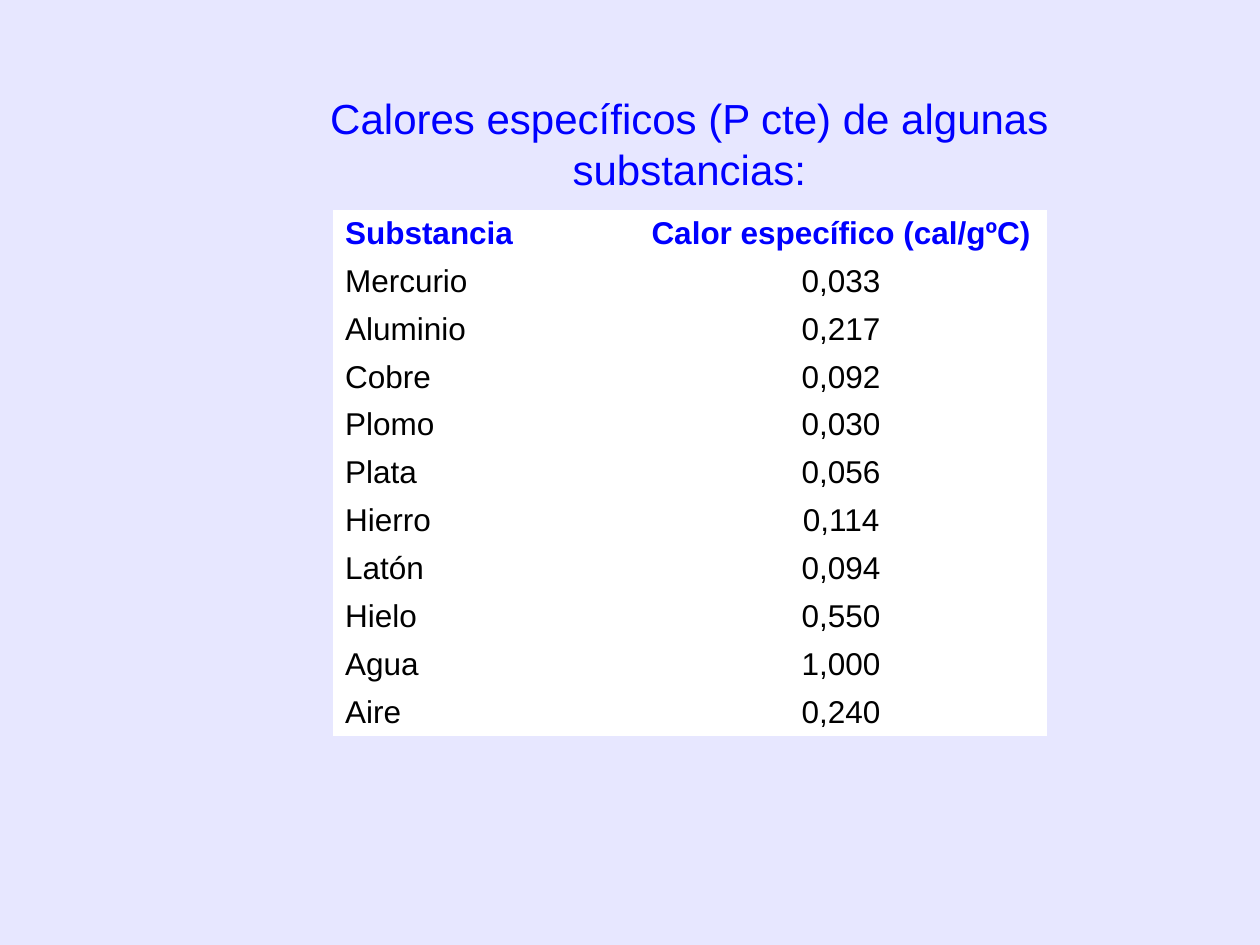
"""Build a slide with a table of specific heats of some substances."""
import pptx
import pptx.dml.color
import pptx.enum.text
import pptx.util

Pt = pptx.util.Pt
RGBColor = pptx.dml.color.RGBColor
ALIGN = pptx.enum.text.PP_ALIGN
ANCHOR = pptx.enum.text.MSO_ANCHOR

TITLE = "Calores específicos (P cte) de algunas substancias:"
ROWS = [
    ("Substancia", "Calor específico (cal/gºC)"),
    ("Mercurio", "0,033"),
    ("Aluminio", "0,217"),
    ("Cobre", "0,092"),
    ("Plomo", "0,030"),
    ("Plata", "0,056"),
    ("Hierro", "0,114"),
    ("Latón", "0,094"),
    ("Hielo", "0,550"),
    ("Agua", "1,000"),
    ("Aire", "0,240"),
]
ALIGNMENTS = (ALIGN.LEFT, ALIGN.CENTER)
COLUMN_WIDTHS = (172.8, 235.6)
ROW_HEIGHT = 27.38
TABLE_LEFT, TABLE_TOP = 190, 119.8
FONT = "Arial"
LAVENDER = RGBColor(0xE7, 0xE7, 0xFF)
BLUE = RGBColor(0x00, 0x00, 0xFF)
BLACK = RGBColor(0x00, 0x00, 0x00)
WHITE = RGBColor(0xFF, 0xFF, 0xFF)


def format_text(frame, size, color, alignment, bold=False):
    """Format every run of a text frame."""
    for paragraph in frame.paragraphs:
        paragraph.alignment = alignment
        for run in paragraph.runs:
            run.font.name = FONT
            run.font.size = Pt(size)
            run.font.bold = bold
            run.font.color.rgb = color


def add_title(page):
    """Place and format the title."""
    title = page.shapes.title
    title.left, title.top = Pt(124.6), Pt(49)
    title.width, title.height = Pt(538.6), Pt(65.5)
    frame = title.text_frame
    frame.text = TITLE
    frame.word_wrap = True
    frame.auto_size = pptx.enum.text.MSO_AUTO_SIZE.NONE
    frame.vertical_anchor = ANCHOR.TOP
    frame.paragraphs[0].line_spacing = Pt(29.1)
    format_text(frame, 24, BLUE, ALIGN.CENTER)


def add_heat_table(page):
    """Add the table of substances and specific heats."""
    table = page.shapes.add_table(
        len(ROWS), len(COLUMN_WIDTHS), Pt(TABLE_LEFT), Pt(TABLE_TOP),
        Pt(sum(COLUMN_WIDTHS)), Pt(ROW_HEIGHT * len(ROWS))).table
    table.horz_banding = False
    for column, width in zip(table.columns, COLUMN_WIDTHS):
        column.width = Pt(width)
    for index, texts in enumerate(ROWS):
        table.rows[index].height = Pt(ROW_HEIGHT)
        header = index == 0
        for cell, text, alignment in zip(table.rows[index].cells, texts, ALIGNMENTS):
            cell.text_frame.text = text
            cell.margin_top = cell.margin_bottom = Pt(3.3)
            cell.vertical_anchor = ANCHOR.MIDDLE
            cell.fill.solid()
            cell.fill.fore_color.rgb = WHITE
            format_text(cell.text_frame, 18, BLUE if header else BLACK, alignment, header)
            cell_properties = cell._tc.get_or_add_tcPr()
            for position, side in enumerate(("lnL", "lnR", "lnT", "lnB")):
                border = pptx.oxml.parse_xml(
                    f'<a:{side} xmlns:a="http://schemas.openxmlformats.org/'
                    f'drawingml/2006/main"><a:noFill/></a:{side}>')
                cell_properties.insert(position, border)


def main():
    """Build and save the deck."""
    deck = pptx.Presentation()
    deck.slide_width, deck.slide_height = Pt(720), Pt(540)
    page = deck.slides.add_slide(deck.slide_layouts[5])
    page.background.fill.solid()
    page.background.fill.fore_color.rgb = LAVENDER
    add_heat_table(page)
    add_title(page)
    deck.save("out.pptx")


if __name__ == "__main__":
    main()
